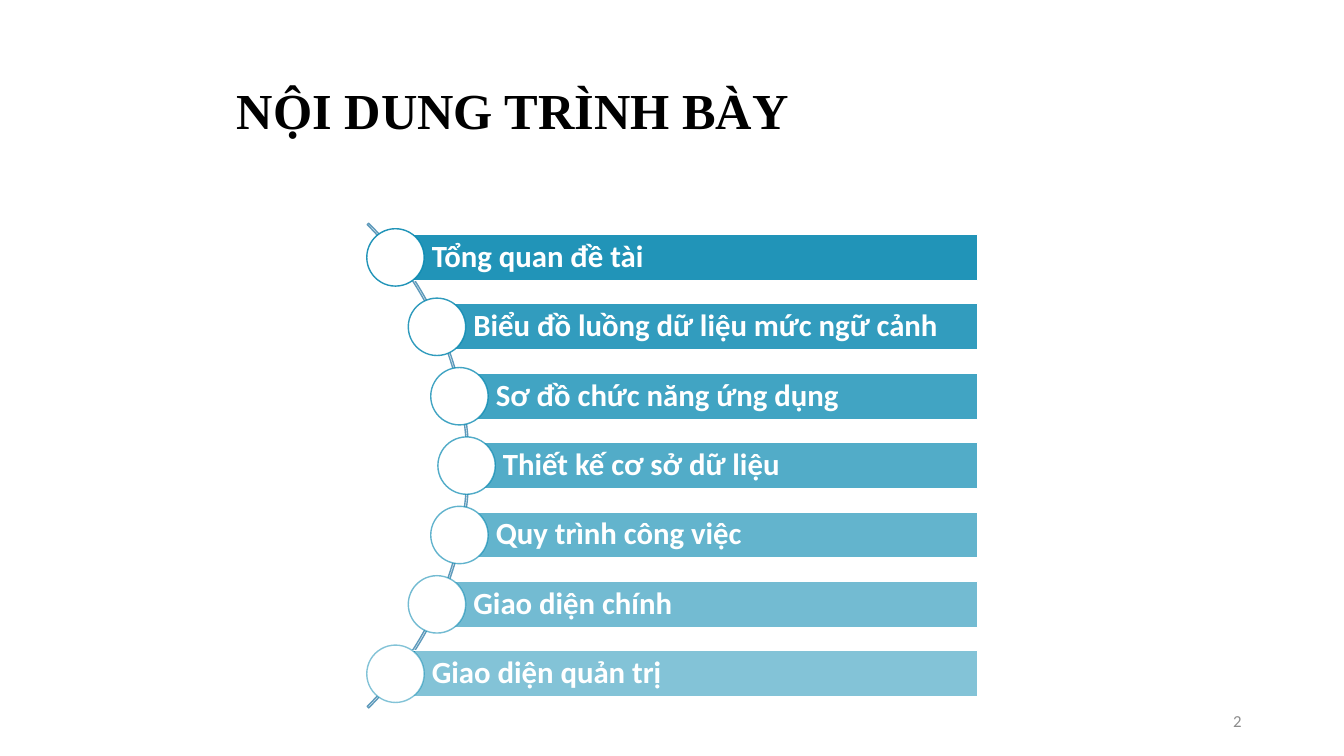
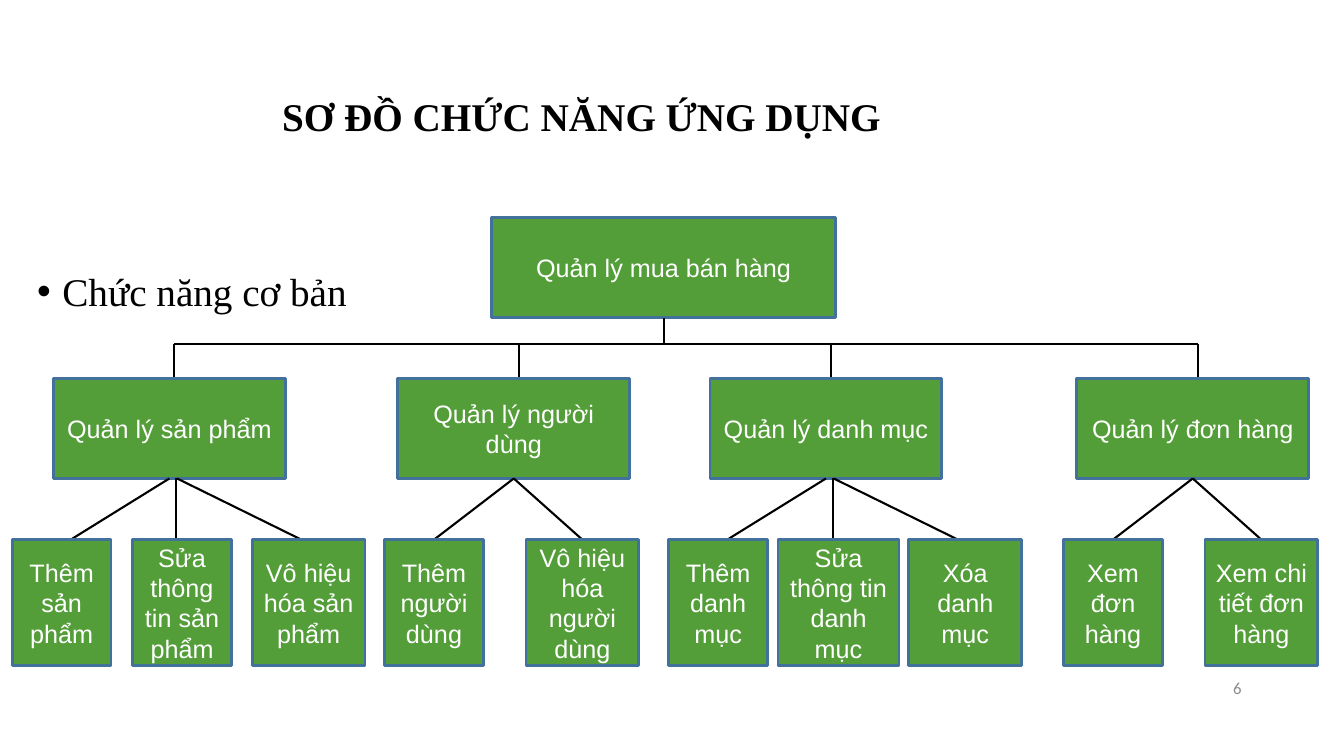
from math import sqrt

from lxml import etree
from pptx import Presentation
from pptx.dml.color import RGBColor
from pptx.enum.shapes import MSO_CONNECTOR, MSO_SHAPE as SHAPE
from pptx.enum.text import MSO_ANCHOR as ANCHOR, MSO_AUTO_SIZE as AUTO, PP_ALIGN as ALIGN
from pptx.oxml.ns import qn
from pptx.util import Pt

BLACK, WHITE, GREY = "000000", "FFFFFF", "8C8C8C"
TEAL, ARC_BLUE = "0989B1", "5E9ABB"
GREEN, BOX_EDGE = "549E39", "42719B"
SERIF, SANS, ARIAL = "Times New Roman", "Calibri", "Arial"

TITLE_ONLY, TITLE_AND_BODY = 5, 1

AGENDA = [
    "Tổng quan đề tài",
    "Biểu đồ luồng dữ liệu mức ngữ cảnh",
    "Sơ đồ chức năng ứng dụng",
    "Thiết kế cơ sở dữ liệu",
    "Quy trình công việc",
    "Giao diện chính",
    "Giao diện quản trị",
]

NARROW, MEDIUM, WIDE = 70.6, 80.6, 86.4

# Centre of each module from the left of the tree, its name, its functions
MODULES = [
    (113, "Quản lý sản phẩm", [
        ("Thêm sản phẩm", NARROW),
        ("Sửa thông tin sản phẩm", NARROW),
        ("Vô hiệu hóa sản phẩm", MEDIUM)]),
    (359, "Quản lý người dùng", [
        ("Thêm người dùng", NARROW),
        ("Vô hiệu hóa người dùng", MEDIUM)]),
    (582, "Quản lý danh mục", [
        ("Thêm danh mục", NARROW),
        ("Sửa thông tin danh mục", WIDE),
        ("Xóa danh mục", MEDIUM)]),
    (844, "Quản lý đơn hàng", [
        ("Xem đơn hàng", NARROW),
        ("Xem chi tiết đơn hàng", MEDIUM)]),
]

# Offsets from the module centre: line start, line end, function box centre
FANS = {
    2: [(0, -57, -57), (0, 49, 49)],
    3: [(0, -70.5, -77), (5, 5, 9), (5.5, 94.3, 99.5)],
}


def rgb(value):
    return RGBColor.from_string(value)


def fade(parent, percent):
    """Set the opacity of the solid fill held by a spPr or ln element."""
    clr = parent.find(qn("a:solidFill"))[0]
    etree.SubElement(clr, qn("a:alpha")).set("val", str(round(percent * 1000)))


def place(sp, x, y, w, h):
    sp.left, sp.top, sp.width, sp.height = Pt(x), Pt(y), Pt(w), Pt(h)


def set_text(sp, text, font, size, color, bold=False, align=ALIGN.LEFT,
             anchor=ANCHOR.MIDDLE, spacing=1.0, insets=(7.2, 3.6, 7.2, 3.6)):
    tf = sp.text_frame
    tf.word_wrap = True
    tf.auto_size = AUTO.NONE
    tf.vertical_anchor = anchor
    tf.margin_left, tf.margin_top, tf.margin_right, tf.margin_bottom = map(Pt, insets)
    p = tf.paragraphs[0]
    p.alignment = align
    p.line_spacing = spacing
    r = p.add_run()
    r.text = text
    r.font.name = font
    r.font.size = Pt(size)
    r.font.bold = bold
    r.font.color.rgb = rgb(color)
    return p


def add_shape(slide, kind, x, y, w, h, fill, line, weight=1):
    sp = slide.shapes.add_shape(kind, Pt(x), Pt(y), Pt(w), Pt(h))
    sp.shadow.inherit = False
    if fill:
        sp.fill.solid()
        sp.fill.fore_color.rgb = rgb(fill)
    else:
        sp.fill.background()
    sp.line.color.rgb = rgb(line)
    sp.line.width = Pt(weight)
    return sp


def add_line(slide, x1, y1, x2, y2):
    ln = slide.shapes.add_connector(MSO_CONNECTOR.STRAIGHT, Pt(x1), Pt(y1), Pt(x2), Pt(y2))
    ln.line.color.rgb = rgb(BLACK)
    ln.line.width = Pt(1.5)
    etree.SubElement(ln.element.spPr, qn("a:effectLst"))


def add_slide(prs, layout, title, title_box, title_size, number, number_top):
    """Add a slide with the shared title style and page number."""
    slide = prs.slides.add_slide(prs.slide_layouts[layout])
    place(slide.shapes.title, *title_box)
    set_text(slide.shapes.title, title, SERIF, title_size, BLACK, bold=True, spacing=0.9)
    sp = slide.shapes.add_textbox(Pt(678), Pt(number_top), Pt(216), Pt(28.8))
    set_text(sp, number, SANS, 12, GREY, align=ALIGN.RIGHT)
    return slide


def add_bullet(slide, text, x, y, w, h):
    body = slide.placeholders[1]
    place(body, x, y, w, h)
    p = set_text(body, text, SERIF, 28, BLACK, anchor=ANCHOR.TOP, spacing=0.9)
    p.space_before = Pt(10)
    pPr = p._p.get_or_add_pPr()
    pPr.set("marL", str(Pt(18)))
    pPr.set("indent", str(-Pt(18)))


def add_arc_list(slide, items, x, y, w, h):
    """Bars that start at circles strung along an arc."""
    dot, bar_h, lane_r, arc_r = 41, 33, 243, 244.8
    reach = (h - dot) / 2
    pitch = (h - dot) / (len(items) - 1)
    mid_y = y + h / 2
    mid_x = x + dot / 2 - sqrt(lane_r ** 2 - reach ** 2)

    arc = add_shape(slide, SHAPE.BLOCK_ARC, mid_x - arc_r, mid_y - arc_r,
                    2 * arc_r, 2 * arc_r, None, ARC_BLUE)
    for i, value in enumerate((189, 27, 0.003)):
        arc.adjustments[i] = value

    for i, text in enumerate(items):
        dy = i * pitch - reach
        cx, cy = mid_x + sqrt(lane_r ** 2 - dy ** 2), mid_y + dy
        opacity = 90 - 40 * i / (len(items) - 1)
        bar = add_shape(slide, SHAPE.RECTANGLE, cx, cy - bar_h / 2,
                        x + w - cx, bar_h, TEAL, WHITE)
        fade(bar.element.spPr, opacity)
        set_text(bar, text, SANS, 22, WHITE, bold=True, spacing=0.9,
                 insets=(26, 4.4, 4.4, 4.4))
        circle = add_shape(slide, SHAPE.OVAL, cx - dot / 2, cy - dot / 2,
                           dot, dot, WHITE, TEAL)
        fade(circle.element.spPr.find(qn("a:ln")), opacity)


def add_tree_box(slide, text, cx, y, w, h):
    sp = add_shape(slide, SHAPE.RECTANGLE, cx - w / 2, y, w, h, GREEN, BOX_EDGE, 2)
    set_text(sp, text, ARIAL, 18, WHITE, align=ALIGN.CENTER)


def add_function_tree(slide, root, modules, x, y, w, h):
    box_h, leaf_h, module_w, root_w = 71.3, 90, 165.6, 245.5
    bus_y, module_y, leaf_y = y + 90.5, y + 115, y + h - leaf_h
    drop_dx = 3.6
    root_x = x + w / 2
    first, last = (x + modules[i][0] + drop_dx for i in (0, -1))

    add_tree_box(slide, root, root_x, y, root_w, box_h)
    add_line(slide, root_x, y + box_h, root_x, bus_y)
    add_line(slide, first, bus_y, last, bus_y)
    for offset, name, leaves in modules:
        cx = x + offset
        add_line(slide, cx + drop_dx, bus_y, cx + drop_dx, module_y)
        add_tree_box(slide, name, cx, module_y, module_w, box_h)
        for (text, leaf_w), (start, end, centre) in zip(leaves, FANS[len(leaves)]):
            add_line(slide, cx + start, module_y + box_h, cx + end, leaf_y)
            add_tree_box(slide, text, cx + centre, leaf_y, leaf_w, leaf_h)


def main():
    prs = Presentation()
    prs.slide_width, prs.slide_height = Pt(960), Pt(540)

    agenda = add_slide(prs, TITLE_ONLY, "NỘI DUNG TRÌNH BÀY",
                       (162, 28.8, 501, 104.4), 36, "2", 500.4)
    add_arc_list(agenda, AGENDA, 262, 163.4, 436.4, 338.4)

    functions = add_slide(prs, TITLE_AND_BODY, "SƠ ĐỒ CHỨC NĂNG ỨNG DỤNG",
                          (194.4, 32.4, 494.6, 104.4), 28, "6", 476.6)
    add_bullet(functions, "Chức năng cơ bản", 19.4, 190.8, 268.6, 45.4)
    add_function_tree(functions, "Quản lý mua bán hàng", MODULES, 8, 155.5, 932, 320)

    prs.save("out.pptx")


if __name__ == "__main__":
    main()
